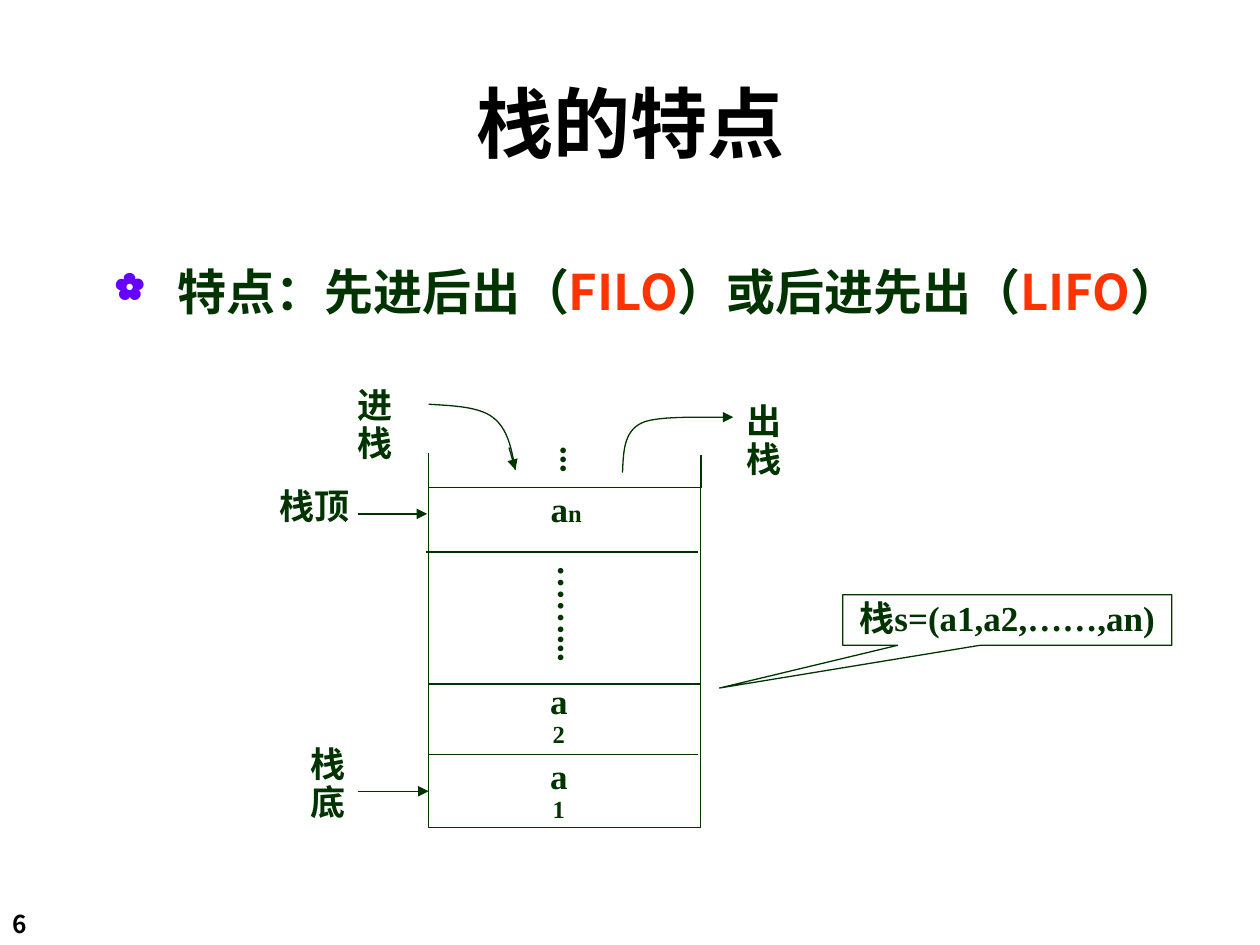
from lxml.etree import SubElement
from pptx import Presentation
from pptx.dml.color import RGBColor
from pptx.enum.shapes import MSO_CONNECTOR, MSO_SHAPE
from pptx.enum.text import MSO_ANCHOR, PP_ALIGN
from pptx.oxml.ns import qn
from pptx.util import Cm, Pt

GREEN, RED, BLACK, PURPLE = "003300", "FF3300", "000000", "6600FF"
SANS, SERIF = "Noto Sans CJK SC", "Times New Roman"


def rgb(value):
    return RGBColor.from_string(value)


def write(sp, runs, font=SERIF, align=PP_ALIGN.CENTER, anchor=MSO_ANCHOR.MIDDLE,
          wrap=False, spacing=0.9):
    """Fill the shape with one bold paragraph of (text, size, colour) runs."""
    tf = sp.text_frame
    tf.word_wrap, tf.vertical_anchor = wrap, anchor
    p = tf.paragraphs[0]
    p.alignment, p.line_spacing = align, spacing
    for text, size, color in runs:
        r = p.add_run()
        r.text = text
        r.font.size, r.font.bold, r.font.name = Pt(size), True, font
        r.font.color.rgb = rgb(color)
        SubElement(r._r.get_or_add_rPr(), qn("a:ea"), typeface=SANS)
    return p


prs = Presentation()
prs.slide_width, prs.slide_height = Cm(25.4), Cm(19.05)
s = prs.slides.add_slide(prs.slide_layouts[6])

# Page number, title and body
sp = s.shapes.add_textbox(Cm(0), Cm(18.21), Cm(2.11), Cm(0.86))
write(sp, [("6", 14, BLACK)], SANS, PP_ALIGN.LEFT, MSO_ANCHOR.TOP, True, 1.0)

sp = s.shapes.add_textbox(Cm(1.07), Cm(0.64), Cm(23.29), Cm(3.61))
write(sp, [("栈的特点", 44, BLACK)], SANS, wrap=True, spacing=1.0)

sp = s.shapes.add_textbox(Cm(1.07), Cm(5.28), Cm(23.65), Cm(1.96))
p = write(sp, [("特点：先进后出（", 28, GREEN), ("FILO", 28, RED),
               ("）或后进先出（", 28, GREEN), ("LIFO", 28, RED), ("）", 28, GREEN)],
          SANS, PP_ALIGN.LEFT, MSO_ANCHOR.TOP, True)
pPr = p._p.get_or_add_pPr()
pPr.set("marL", str(Cm(2.26)))
pPr.set("indent", str(Cm(-1.27)))
SubElement(SubElement(pPr, qn("a:buClr")), qn("a:srgbClr"), val=PURPLE)
SubElement(pPr, qn("a:buSzPct"), val="75000")
SubElement(pPr, qn("a:buChar"), char="✿")

# Stack frame and callout
frame = s.shapes.add_shape(MSO_SHAPE.RECTANGLE, Cm(8.64), Cm(9.83), Cm(5.49), Cm(6.86))
callout = s.shapes.add_shape(MSO_SHAPE.RECTANGULAR_CALLOUT,
                             Cm(16.99), Cm(11.99), Cm(6.63), Cm(1.02))
callout.adjustments[0], callout.adjustments[1] = -0.875, 1.345
write(callout, [("栈s=(a1,a2,……,an)", 20, GREEN)])
outlined = [frame, callout]

# Push and pop curves: a start point, then cubic segments
curves = [
    [(8.64, 8.15), (9.14, 8.18), (9.65, 8.2), (9.93, 8.41),
     (10.24, 8.64), (10.31, 9.04), (10.39, 9.47)],
    [(12.55, 9.53), (12.57, 9.12), (12.57, 8.71), (12.93, 8.53),
     (13.28, 8.36), (14.4, 8.43), (14.66, 8.41)],
]
STEPS = 16
for curve in curves:
    points = []
    for i in (0, 3):
        for k in range(1, STEPS + 1):
            t = k / STEPS
            weights = ((1 - t) ** 3, 3 * t * (1 - t) ** 2, 3 * t ** 2 * (1 - t), t ** 3)
            points.append(tuple(
                Cm(sum(w * pt[axis] for w, pt in zip(weights, curve[i:i + 4])))
                for axis in (0, 1)))
    fb = s.shapes.build_freeform(Cm(curve[0][0]), Cm(curve[0][1]))
    fb.add_line_segments(points, close=False)
    outlined.append(fb.convert_to_shape())

for sp in outlined:
    sp.shadow.inherit = False
    sp.fill.background()
    sp.line.color.rgb = rgb(GREEN)
    sp.line.width = Pt(0.75)

# Cell dividers, open top ends and arrows: x1, y1, x2, y2, arrowhead
lines = [
    (8.58, 11.13, 14.07, 11.13, False),
    (8.64, 15.21, 14.07, 15.21, False),
    (8.64, 13.79, 14.13, 13.79, False),
    (8.64, 9.14, 8.64, 10.03, False),
    (14.13, 9.83, 14.13, 9.17, False),
    (7.21, 15.95, 8.64, 15.95, True),
    (7.21, 10.36, 8.61, 10.36, True),
    (10.26, 9.02, 10.39, 9.47, True),
    (14.17, 8.41, 14.78, 8.41, True),
]
for x1, y1, x2, y2, arrow in lines:
    cx = s.shapes.add_connector(MSO_CONNECTOR.STRAIGHT, Cm(x1), Cm(y1), Cm(x2), Cm(y2))
    cx.line.color.rgb = rgb(GREEN)
    cx.line.width = Pt(0.75)
    if arrow:
        SubElement(cx.line._get_or_add_ln(), qn("a:tailEnd"), type="triangle")
    SubElement(cx._element.spPr, qn("a:effectLst"))

# Stack elements and labels: left, top, width, text, subscript
labels = [
    (10.82, 9.8, 1.19, "a", "n"),
    (10.72, 13.94, 1.09, "a", "2"),
    (10.72, 15.44, 1.09, "a", "1"),
    (5.66, 15.32, 1.91, "栈底", ""),
    (5.28, 9.73, 2.13, "栈顶", ""),
    (14.45, 8.41, 1.91, "出栈", ""),
    (6.6, 8.08, 1.91, "进栈", ""),
]
for x, y, w, text, sub in labels:
    sp = s.shapes.add_textbox(Cm(x), Cm(y), Cm(w), Cm(1.02))
    runs = [(text, 20, GREEN)]
    if sub:
        runs.append((sub, 14, GREEN))
    write(sp, runs)

# Vertical dots
for x, y, h, text in [(10.85, 11.15, 2.21, "……..."), (10.9, 8.76, 0.79, "...")]:
    sp = s.shapes.add_textbox(Cm(x), Cm(y), Cm(1.27), Cm(h))
    write(sp, [(text, 20, GREEN)])
    tf = sp.text_frame
    tf.margin_left = tf.margin_right = Cm(0.13)
    tf.margin_top = tf.margin_bottom = Cm(0.25)
    tf._txBody.bodyPr.set("vert", "eaVert")

prs.save("out.pptx")
